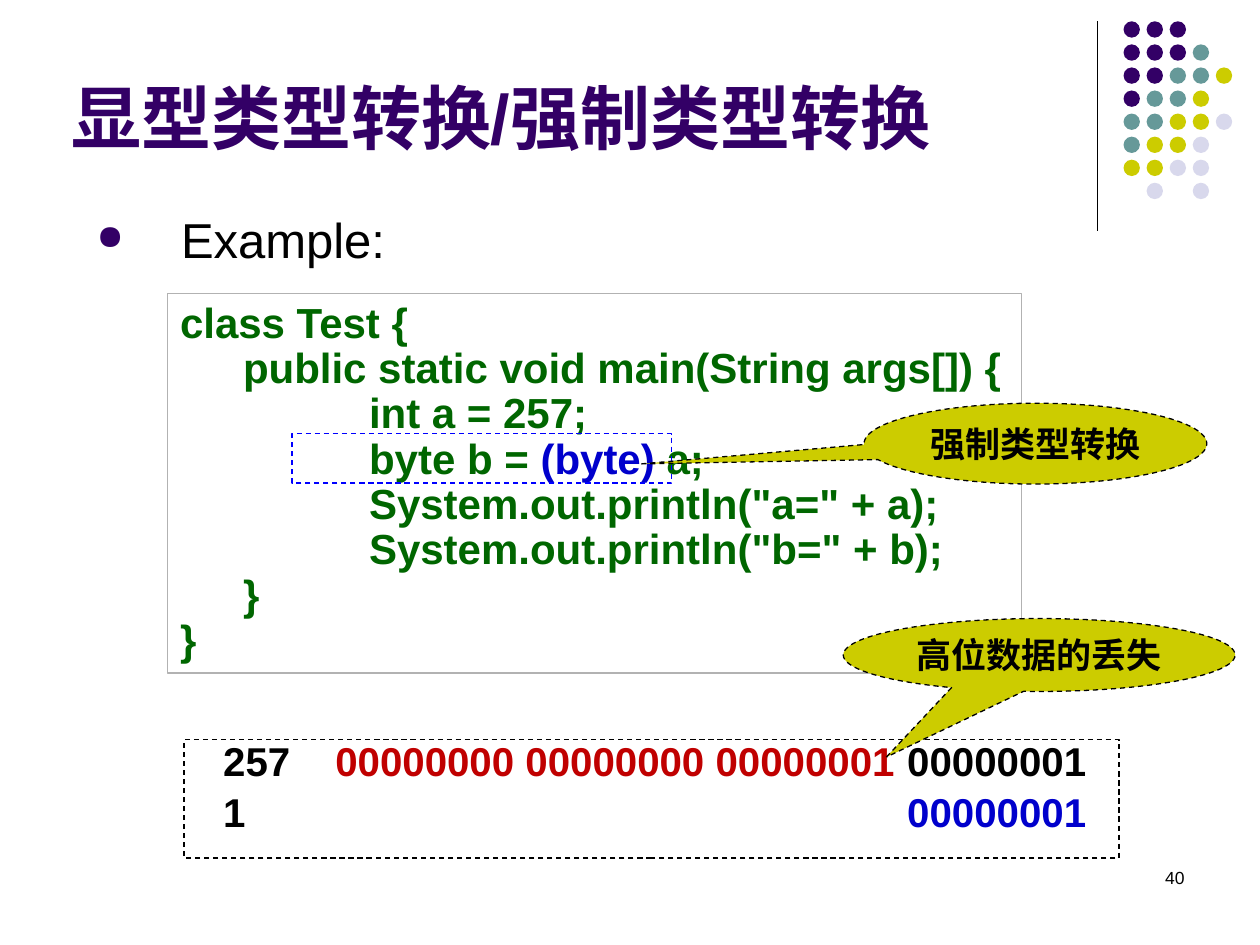
from lxml.etree import SubElement
from pptx import Presentation
from pptx.dml.color import RGBColor
from pptx.enum.dml import MSO_LINE as Dash
from pptx.enum.shapes import MSO_CONNECTOR as Link, MSO_SHAPE as Form
from pptx.enum.text import MSO_ANCHOR as Anchor, PP_ALIGN as Align
from pptx.oxml.ns import qn
from pptx.util import Cm, Pt

INK = {
    "black": "000000", "purple": "330066", "teal": "669999",
    "lime": "CCCC00", "mist": "D8D8EC", "green": "006600",
    "blue": "0000CC", "red": "C00000", "edge": "0000FF", "grey": "B2B2B2",
}
# One letter per dot, blank where the grid is empty
DOTS = ["PPP", "PPPT", "PPTTL", "PTTL", "TTLLM", "TLLM", "LLMM", " M M"]
HUES = {"P": "purple", "T": "teal", "L": "lime", "M": "mist"}
# Indent level and coloured runs of each code line
CODE = [
    (0, [("class Test {", "green")]),
    (1, [("public static void main(String args[]) {", "green")]),
    (3, [("int a = 257;", "green")]),
    (3, [("byte b = ", "green"), ("(byte) ", "blue"), ("a;", "green")]),
    (3, [('System.out.println("a=" + a);', "green")]),
    (3, [('System.out.println("b=" + b);', "green")]),
    (1, [("}", "green")]),
    (0, [("}", "green")]),
]
BITS = [
    [("257\t", "black"), ("00000000 00000000 00000001\t", "red"),
     ("00000001", "black")],
    [("1\t\t", "black"), ("00000001", "blue")],
]


def tint(name):
    return RGBColor.from_string(INK[name])


def write(para, runs, size, bold=False):
    for words, hue in runs:
        run = para.add_run()
        run.text = words
        font = run.font
        font.name, font.size, font.bold = "Arial", Pt(size), bold
        font.color.rgb = tint(hue)


def shape(slide, form, box, fill=None, line=None, dash=False):
    part = slide.shapes.add_shape(form, *map(Cm, box))
    part.shadow.inherit = False
    if fill:
        part.fill.solid()
        part.fill.fore_color.rgb = tint(fill)
    else:
        part.fill.background()
    if line:
        part.line.color.rgb = tint(line)
        part.line.width = Pt(0.75)
        if dash:
            part.line.dash_style = Dash.DASH
    else:
        part.line.fill.background()
    return part


def label(slide, box, inset=0.0):
    frame = slide.shapes.add_textbox(*map(Cm, box)).text_frame
    frame.word_wrap = True
    frame.margin_left = frame.margin_right = Cm(0.25)
    frame.margin_top = frame.margin_bottom = Cm(inset)
    return frame


def lines(frame, count):
    return [frame.paragraphs[0]] + [frame.add_paragraph()
                                    for _ in range(count - 1)]


def corner(slide, box):
    """Vertical rule with the dot grid to its right."""
    left, top, _, high = box
    rule = slide.shapes.add_connector(
        Link.STRAIGHT, Cm(left), Cm(top), Cm(left), Cm(top + high))
    rule.line.color.rgb = tint("black")
    rule.line.width = Pt(0.75)
    SubElement(rule.line._get_or_add_ln().getparent(), qn("a:effectLst"))
    step, size = 0.465, 0.33
    for row, marks in enumerate(DOTS):
        for col, mark in enumerate(marks):
            if mark in HUES:
                spot = (left + 0.53 + col * step, top + row * step, size, size)
                shape(slide, Form.OVAL, spot, HUES[mark])


def title(slide, box):
    frame = label(slide, box, 0.13)
    frame.vertical_anchor = Anchor.BOTTOM
    write(frame.paragraphs[0], [("显型类型转换/强制类型转换", "purple")], 40, True)


def lead(slide, box):
    """Bulleted line above the code."""
    para = label(slide, box).paragraphs[0]
    write(para, [("Example:", "black")], 28)
    props = para._p.get_or_add_pPr()
    props.set("marL", str(Cm(1.7)))
    props.set("indent", str(-Cm(1.7)))
    hue = SubElement(props, qn("a:buClr"))
    SubElement(hue, qn("a:srgbClr"), val=INK["purple"])
    SubElement(props, qn("a:buSzPct"), val="70000")
    SubElement(props, qn("a:buChar"), char="●")


def code(slide, box):
    """Framed listing with the cast line marked."""
    left, top, _, _ = box
    frame = shape(slide, Form.RECTANGLE, box, line="grey").text_frame
    frame.word_wrap = False
    frame.vertical_anchor = Anchor.TOP
    frame.margin_left, frame.margin_top = Cm(0.25), Cm(0.15)
    for para, (level, runs) in zip(lines(frame, len(CODE)), CODE):
        para.alignment = Align.LEFT
        para.line_spacing = Pt(25.9)
        para._p.get_or_add_pPr().set("marL", str(Cm(1.27 * level)))
        write(para, runs, 24, True)
    mark = (left + 2.51, top + 2.82, 7.65, 1)
    shape(slide, Form.RECTANGLE, mark, line="edge", dash=True)


def bits(slide, box):
    """Dashed frame with the two binary values on tab stops."""
    left, top, wide, high = box
    frame = label(slide, (left + 0.54, top - 0.12, wide - 0.54, high))
    for para, runs in zip(lines(frame, len(BITS)), BITS):
        para.line_spacing = Pt(29.1)
        stops = SubElement(para._p.get_or_add_pPr(), qn("a:tabLst"))
        for stop in (2.26, 13.79):
            SubElement(stops, qn("a:tab"), pos=str(Cm(stop)), algn="l")
        write(para, runs, 23, True)
    shape(slide, Form.RECTANGLE, box, line="black", dash=True)


def note(slide, box, words, tip):
    """Oval callout whose tail ends at tip."""
    part = shape(slide, Form.OVAL_CALLOUT, box, "lime", "black", True)
    part.adjustments[0], part.adjustments[1] = tip
    frame = part.text_frame
    frame.word_wrap = False
    frame.vertical_anchor = Anchor.MIDDLE
    frame.paragraphs[0].alignment = Align.CENTER
    write(frame.paragraphs[0], [(words, "black")], 20, True)


def page(slide, box):
    para = label(slide, box, 0.13).paragraphs[0]
    para.alignment = Align.RIGHT
    write(para, [("40", "black")], 10)


def main():
    deck = Presentation()
    deck.slide_width, deck.slide_height = Cm(25.4), Cm(19.05)
    slide = deck.slides.add_slide(deck.slide_layouts[6])
    corner(slide, (22.12, 0.43, 2.7, 4.22))
    title(slide, (1.19, 0.99, 20.45, 2.34))
    lead(slide, (1.7, 4.23, 21.36, 1.2))
    code(slide, (3.38, 5.92, 17.22, 7.65))
    bits(slide, (3.71, 14.91, 18.85, 2.39))
    note(slide, (17, 12.47, 7.9, 1.47), "高位数据的丢失", (-0.39, 1.4))
    note(slide, (17.42, 8.13, 6.91, 1.63), "强制类型转换", (-1.15, 0.25))
    page(slide, (18.21, 17.35, 5.92, 1.27))
    deck.save("out.pptx")


if __name__ == "__main__":
    main()
